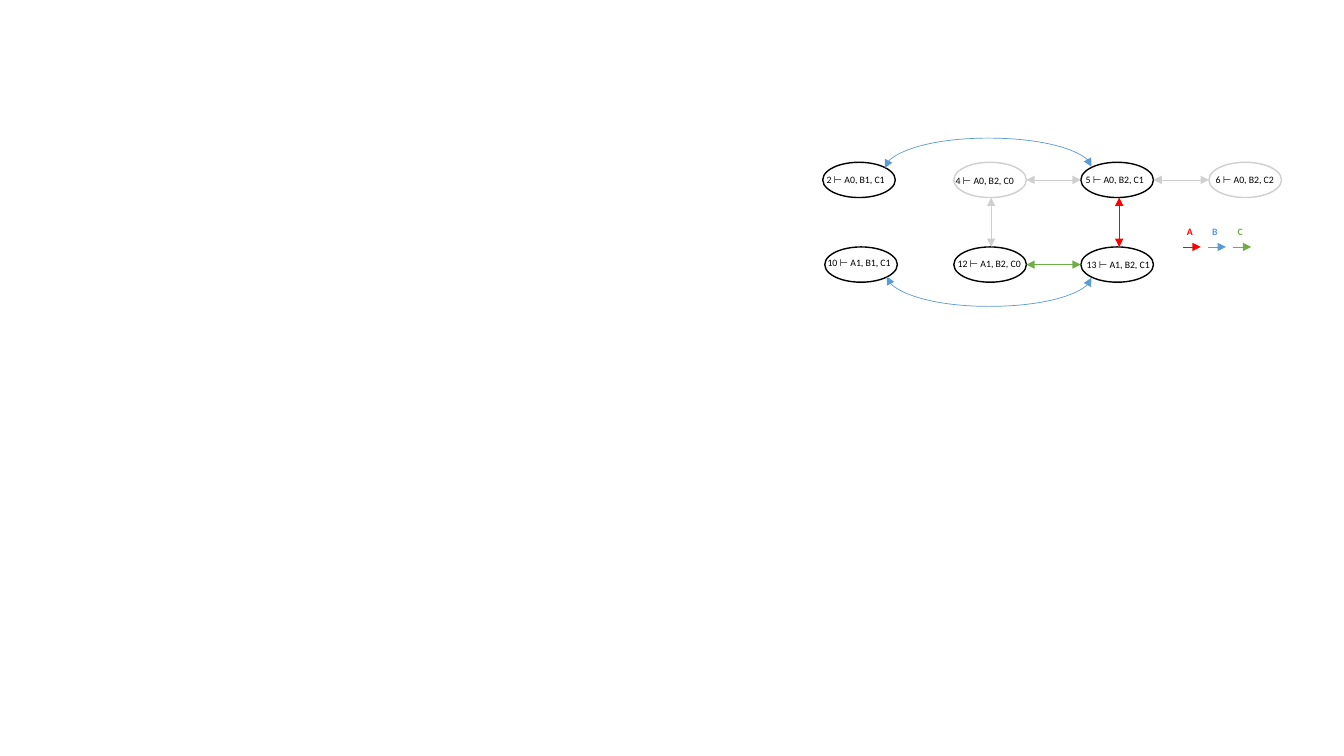
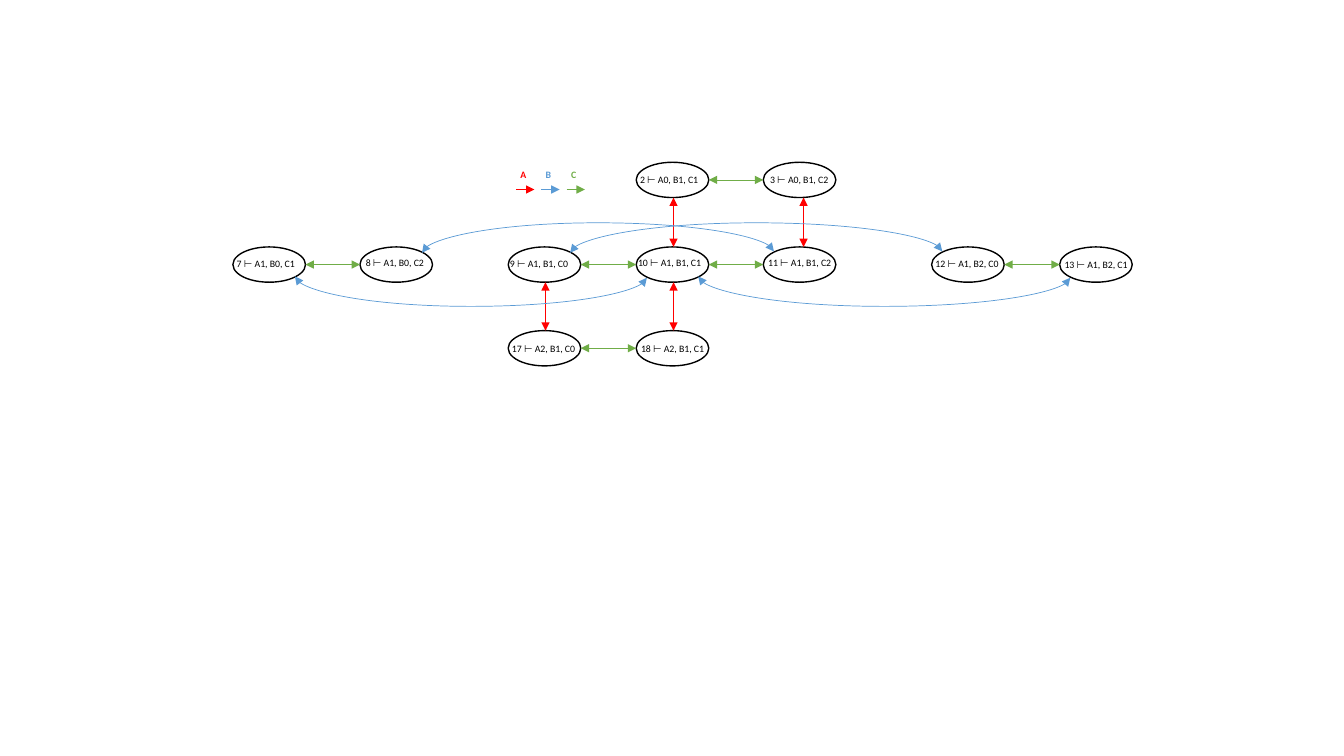
import pptx
import pptx.dml.color
import pptx.enum.shapes
import pptx.enum.text
import pptx.oxml.ns
import pptx.util
from lxml import etree

Inches = pptx.util.Inches
Pt = pptx.util.Pt
qn = pptx.oxml.ns.qn
RGBColor = pptx.dml.color.RGBColor
CONNECTOR = pptx.enum.shapes.MSO_CONNECTOR

# Shared style
BLACK = RGBColor(0x00, 0x00, 0x00)
GREY = RGBColor(0xD0, 0xCE, 0xCE)
RED = RGBColor(0xFF, 0x00, 0x00)
BLUE = RGBColor(0x5B, 0x9B, 0xD5)
GREEN = RGBColor(0x70, 0xAD, 0x47)
FONT = "Calibri"
FONT_SIZE = Pt(7)

# Shared geometry, in inches
STATE_W, STATE_H = 0.72, 0.35
ROWS = (1.61, 2.45, 3.28)
LABEL_W, LABEL_H = 0.93, 0.22
ARC_DROP = 0.3
ARC_DEPTH = Pt(1)
DIAGONAL = 0.5 ** 0.5 / 2  # corner site of an ellipse, from its centre

# Connection sites of an ellipse
TOP_LEFT, LEFT, BOTTOM_LEFT, BOTTOM_RIGHT, RIGHT, TOP_RIGHT = 1, 2, 3, 5, 6, 7


def add_label(slide, text, left, top, width, color=BLACK):
    label = slide.shapes.add_textbox(
        Inches(left), Inches(top), Inches(width), Inches(LABEL_H))
    label.text_frame.word_wrap = True
    paragraph = label.text_frame.paragraphs[0]
    paragraph.text = text
    paragraph.font.name = FONT
    paragraph.font.size = FONT_SIZE
    paragraph.font.color.rgb = color
    return label


def add_state(slide, text, left, row, label_left, label_top, color=BLACK):
    """Ellipse of one state, with its label."""
    state = slide.shapes.add_shape(
        pptx.enum.shapes.MSO_SHAPE.OVAL, Inches(left), Inches(ROWS[row]),
        Inches(STATE_W), Inches(STATE_H))
    state.shadow.inherit = False
    state.fill.background()
    state.line.color.rgb = color
    state.line.width = Pt(1)
    add_label(slide, text, label_left, label_top, LABEL_W)
    return state


def style_link(link, color, heads):
    link.line.color.rgb = color
    link.line.width = Pt(0.5)
    line = link.line._get_or_add_ln()
    for head in heads:
        etree.SubElement(line, qn(f"a:{head}"), type="triangle")
    etree.SubElement(link._element.spPr, qn("a:effectLst"))


def add_line(slide, start, end, color, heads=("headEnd", "tailEnd")):
    link = slide.shapes.add_connector(CONNECTOR.STRAIGHT, *start, *end)
    style_link(link, color, heads)
    return link


def glue(link, start, start_site, end, end_site):
    ends = link._element.find(f"{qn('p:nvCxnSpPr')}/{qn('p:cNvCxnSpPr')}")
    for tag, state, site in (("a:stCxn", start, start_site),
                             ("a:endCxn", end, end_site)):
        etree.SubElement(ends, qn(tag), id=str(state.shape_id), idx=str(site))


def link_across(slide, first, second, color):
    """Two-way arrow between neighbours in a row."""
    y = first.top + first.height // 2
    link = add_line(slide, (first.left + first.width, y), (second.left, y), color)
    glue(link, first, RIGHT, second, LEFT)


def link_down(slide, upper, lower, color, shift=0.37):
    """Two-way upright arrow, shift inches right of the upper state's left edge."""
    x = upper.left + Inches(shift)
    add_line(slide, (x, upper.top + upper.height), (x, lower.top), color)


def link_arc(slide, first, second, above):
    """Two-way blue arc between facing corners of two states."""
    side = -1 if above else 1
    inset = DIAGONAL * STATE_W
    x1 = first.left + Inches(STATE_W / 2 + inset)
    x2 = second.left + Inches(STATE_W / 2 - inset)
    y = first.top + Inches(STATE_H / 2 + side * DIAGONAL * STATE_H)
    span = x2 - x1

    # The curve is drawn upright in a narrow frame, then turned a quarter
    left = (x1 + x2 - ARC_DEPTH) // 2
    top = y - span // 2
    link = slide.shapes.add_connector(
        CONNECTOR.CURVE, left, top, left + ARC_DEPTH, top + span)
    properties = link._element.spPr
    frame = properties.find(qn("a:xfrm"))
    frame.set("rot", str((90 if above else 270) * 60000))
    frame.set("flipH", "1")
    if above:
        frame.set("flipV", "1")
    guides = properties.find(qn("a:prstGeom")).get_or_add_avLst()
    bulge = round(Inches(ARC_DROP) / ARC_DEPTH * 100000)
    etree.SubElement(guides, qn("a:gd"), name="adj1", fmla=f"val {bulge}")
    style_link(link, BLUE, ("headEnd", "tailEnd"))

    sites = (TOP_RIGHT, TOP_LEFT) if above else (BOTTOM_RIGHT, BOTTOM_LEFT)
    glue(link, first, sites[0], second, sites[1])


def add_legend(slide, left, top):
    for i, (name, color) in enumerate((("A", RED), ("B", BLUE), ("C", GREEN))):
        x = left + 0.25 * i
        y = Inches(top + 0.26)
        add_line(slide, (Inches(x), y), (Inches(x + 0.18), y), color, ("tailEnd",))
        label = add_label(slide, name, x, top, 0.14, color)
        label.text_frame.margin_left = label.text_frame.margin_right = 0
        label.text_frame.word_wrap = False
        paragraph = label.text_frame.paragraphs[0]
        paragraph.alignment = pptx.enum.text.PP_ALIGN.CENTER
        paragraph.font.bold = True


def add_graph(prs, states, across, down, arcs, legend):
    slide = prs.slides.add_slide(prs.slide_layouts[6])
    drawn = {number: add_state(slide, f"{number} ⊢ {values}", *place)
             for number, (values, *place) in states.items()}
    for upper, lower, *style in down:
        link_down(slide, drawn[upper], drawn[lower], *style)
    for first, second, color in across:
        link_across(slide, drawn[first], drawn[second], color)
    for first, second, above in arcs:
        link_arc(slide, drawn[first], drawn[second], above)
    add_legend(slide, *legend)


def main():
    prs = pptx.Presentation()
    prs.slide_width = Inches(13.33)
    prs.slide_height = Inches(7.5)

    # Slide 1: states by number are values, left, row, label left, label top
    add_graph(
        prs,
        states={
            2: ("A0, B1, C1", 8.16, 0, 8.1, 1.67),
            4: ("A0, B2, C0", 9.46, 0, 9.38, 1.68, GREY),
            5: ("A0, B2, C1", 10.72, 0, 10.67, 1.67),
            6: ("A0, B2, C2", 11.99, 0, 11.96, 1.67, GREY),
            10: ("A1, B1, C1", 8.18, 1, 8.11, 2.5),
            12: ("A1, B2, C0", 9.46, 1, 9.4, 2.51),
            13: ("A1, B2, C1", 10.72, 1, 10.68, 2.52),
        },
        across=[(4, 5, GREY), (5, 6, GREY), (12, 13, GREEN)],
        down=[(4, 12, GREY), (5, 13, RED, 0.38)],
        arcs=[(10, 13, False), (2, 5, True)],
        legend=(11.73, 2.19),
    )

    # Slide 2
    add_graph(
        prs,
        states={
            2: ("A0, B1, C1", 6.31, 0, 6.25, 1.67),
            3: ("A0, B1, C2", 7.57, 0, 7.54, 1.67),
            7: ("A1, B0, C1", 2.31, 1, 2.25, 2.51),
            8: ("A1, B0, C2", 3.57, 1, 3.53, 2.5),
            9: ("A1, B1, C0", 5.04, 1, 4.96, 2.51),
            10: ("A1, B1, C1", 6.31, 1, 6.23, 2.5),
            11: ("A1, B1, C2", 7.57, 1, 7.52, 2.5),
            12: ("A1, B2, C0", 9.24, 1, 9.18, 2.51),
            13: ("A1, B2, C1", 10.51, 1, 10.46, 2.52),
            17: ("A2, B1, C0", 5.04, 2, 4.98, 3.35),
            18: ("A2, B1, C1", 6.31, 2, 6.26, 3.35),
        },
        across=[(first, second, GREEN) for first, second in (
            (7, 8), (9, 10), (2, 3), (10, 11), (17, 18), (12, 13))],
        down=[(9, 17, RED), (3, 11, RED, 0.4), (10, 18, RED), (2, 10, RED)],
        arcs=[(7, 10, False), (8, 11, True), (10, 13, False), (9, 12, True)],
        legend=(5.12, 1.62),
    )

    prs.save("out.pptx")


if __name__ == "__main__":
    main()
